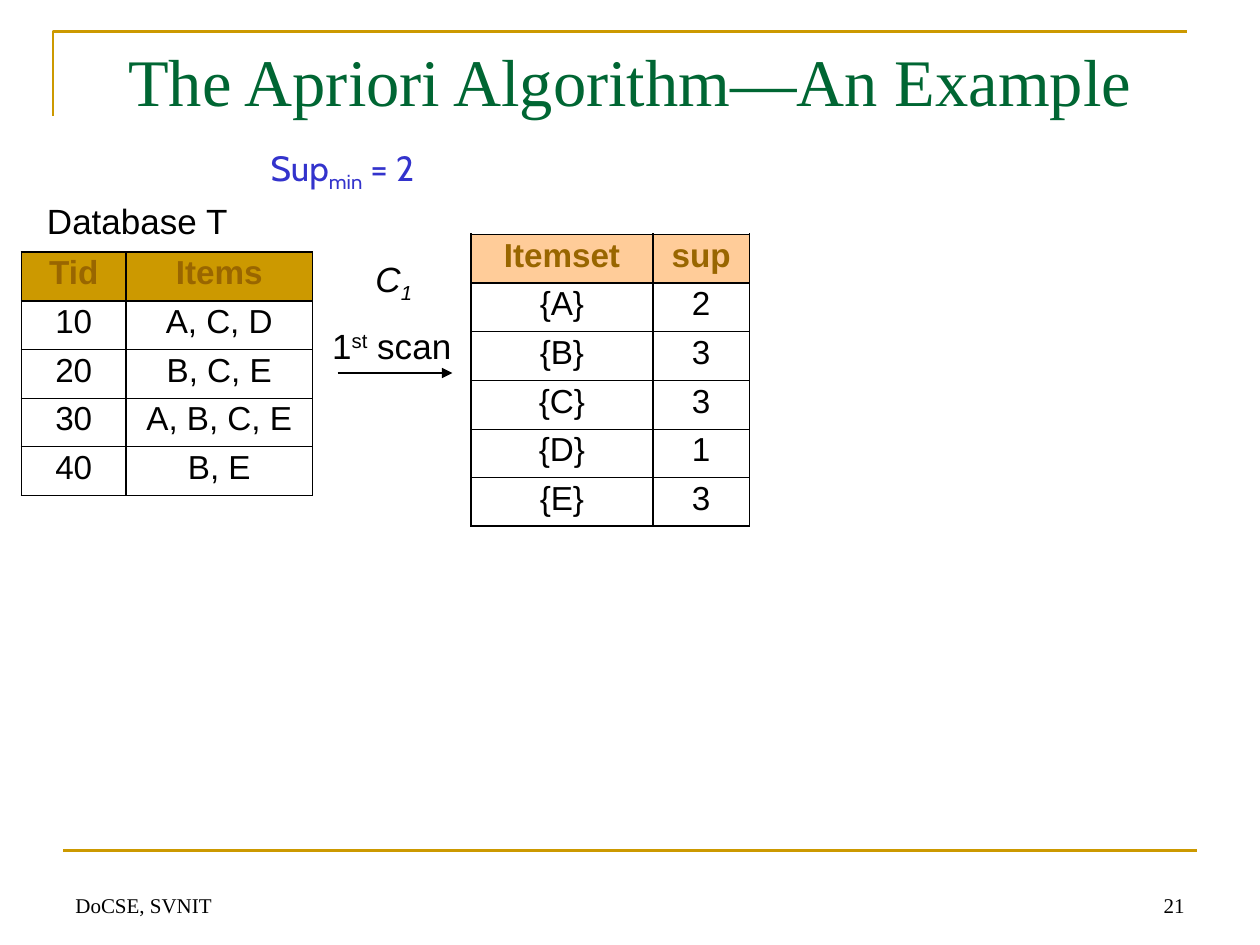
"""Build the Apriori example slide: a database scan that counts single items."""
from lxml import etree
from pptx import Presentation
from pptx.dml.color import RGBColor
from pptx.enum.shapes import MSO_CONNECTOR
from pptx.enum.text import MSO_ANCHOR, MSO_AUTO_SIZE, PP_ALIGN
from pptx.oxml.ns import qn
from pptx.util import Inches, Pt

LEFT, CENTER, RIGHT = PP_ALIGN.LEFT, PP_ALIGN.CENTER, PP_ALIGN.RIGHT
TOP, MIDDLE, BOTTOM = MSO_ANCHOR.TOP, MSO_ANCHOR.MIDDLE, MSO_ANCHOR.BOTTOM
GROW = MSO_AUTO_SIZE.SHAPE_TO_FIT_TEXT
STRAIGHT = MSO_CONNECTOR.STRAIGHT

SERIF, SANS, ROUND = "Times New Roman", "Arial", "Cabin"
BLACK, GOLD, BROWN, PEACH = "000000", "CC9900", "996600", "FFCC99"
GREEN, BLUE = "006633", "3333CC"
SUB, SUP = -25, 30
THICK, THIN = 1.08, 0.45

FOOTER = dict(font=SERIF, size=12, anchor=BOTTOM)
LABEL = dict(align=CENTER, anchor=MIDDLE, wrap=False, fit=GROW)
TEXTS = [
    ((5, 91.07, 60.8, 6.67), ["DoCSE, SVNIT"], FOOTER),
    ((71.7, 91.07, 23.3, 6.67), ["21"], dict(FOOTER, align=RIGHT)),
    ((9.2, 4.44, 85.2, 8.89), ["The Apriori Algorithm—An Example"],
     dict(font=SERIF, size=38, color=GREEN, anchor=BOTTOM)),
    ((2.7, 20.4, 16.4, 5.87), ["Database T"], LABEL),
    ((25.1, 33.6, 12, 5.87), ["1", ("st", SUP), " scan"], LABEL),
    ((28.8, 26.53, 4.9, 6.4), ["C", ("1", SUB)], dict(LABEL, italic=True)),
    ((20.5, 14.8, 19.2, 6.4), ["Sup", ("min", SUB), " = 2"],
     dict(font=ROUND, color=BLUE, before=12.5)),
]
FRAME = [(4.2, 12.27), (4.2, 3.33), (94.2, 3.33)]
FOOTER_RULE = (5, 90, 95, 90)
SCAN_ARROW = (26.8, 39.47, 35.9, 39.47)
ROW_HEIGHT = 5.15
TABLES = [
    dict(at=(1.7, 26.67), cols=(8.3, 14.8), head_fill=GOLD, rows=[
        ("Tid", "Items"), ("10", "A, C, D"), ("20", "B, C, E"),
        ("30", "A, B, C, E"), ("40", "B, E")]),
    dict(at=(37.4, 24.8), cols=(14.4, 7.7), head_fill=PEACH, rows=[
        ("Itemset", "sup"), ("{A}", "2"), ("{B}", "3"),
        ("{C}", "3"), ("{D}", "1"), ("{E}", "3")]),
]

prs = Presentation()
prs.slide_width, prs.slide_height = Inches(10), Inches(7.5)
s = prs.slides.add_slide(prs.slide_layouts[6])


def across(share):
    return round(prs.slide_width * share / 100)


def down(share):
    return round(prs.slide_height * share / 100)


def rgb(color):
    return RGBColor.from_string(color)


def write(tf, runs, font=SANS, size=20, color=BLACK, bold=False, italic=False,
          align=LEFT, anchor=TOP, wrap=True, fit=None, before=0, spacing=1.0):
    tf.word_wrap, tf.vertical_anchor = wrap, anchor
    if fit is not None:
        tf.auto_size = fit
    p = tf.paragraphs[0]
    p.alignment, p.space_before, p.line_spacing = align, Pt(before), spacing
    for run in runs:
        text, baseline = (run, 0) if isinstance(run, str) else run
        r = p.add_run()
        r.text = text
        r.font.name, r.font.size = font, Pt(size)
        r.font.bold, r.font.italic = bold, italic
        r.font.color.rgb = rgb(color)
        if baseline:
            r.font._element.set("baseline", str(baseline * 1000))


def add_line(x1, y1, x2, y2, color, width, arrow=False):
    line = s.shapes.add_connector(STRAIGHT, across(x1), down(y1), across(x2), down(y2))
    line.line.color.rgb, line.line.width = rgb(color), Pt(width)
    sp_pr = line._element.spPr
    if arrow:
        etree.SubElement(sp_pr.find(qn("a:ln")), qn("a:tailEnd"), type="triangle")
    etree.SubElement(sp_pr, qn("a:effectLst"))


def add_frame(points):
    start, *rest = [(across(x), down(y)) for x, y in points]
    builder = s.shapes.build_freeform(*start)
    builder.add_line_segments(rest, close=False)
    sp = builder.convert_to_shape()
    sp.shadow.inherit = False
    sp.fill.background()
    sp.line.color.rgb, sp.line.width = rgb(GOLD), Pt(1.5)


def set_borders(cell, **widths):
    tc_pr = cell._tc.get_or_add_tcPr()
    for side, width in widths.items():
        ln = etree.SubElement(tc_pr, qn(f"a:ln{side}"), w=str(Pt(width)))
        fill = etree.SubElement(ln, qn("a:solidFill"))
        etree.SubElement(fill, qn("a:srgbClr"), val=BLACK)


def add_grid(at, cols, head_fill, rows):
    last = len(rows) - 1
    table = s.shapes.add_table(
        len(rows), len(cols), across(at[0]), down(at[1]),
        across(sum(cols)), down(ROW_HEIGHT * len(rows))).table
    table.first_row = table.horz_banding = False
    for column, width in zip(table.columns, cols):
        column.width = across(width)
    for i, values in enumerate(rows):
        table.rows[i].height = down(ROW_HEIGHT)
        head = i == 0
        for j, value in enumerate(values):
            cell = table.cell(i, j)
            set_borders(cell, L=THICK, R=THICK, T=THICK if i < 2 else THIN,
                        B=THICK if i in (0, last) else THIN)
            if head:
                cell.fill.solid()
                cell.fill.fore_color.rgb = rgb(head_fill)
            else:
                cell.fill.background()
            write(cell.text_frame, [value], size=19, bold=head, align=CENTER,
                  color=BROWN if head else BLACK, before=4.8, spacing=0.9)


add_frame(FRAME)
add_line(*FOOTER_RULE, GOLD, 1.5)
for (x, y, w, h), runs, style in TEXTS:
    box = s.shapes.add_textbox(across(x), down(y), across(w), down(h))
    write(box.text_frame, runs, **style)
add_line(*SCAN_ARROW, BLACK, 0.75, arrow=True)
for grid in TABLES:
    add_grid(**grid)

prs.save("out.pptx")
